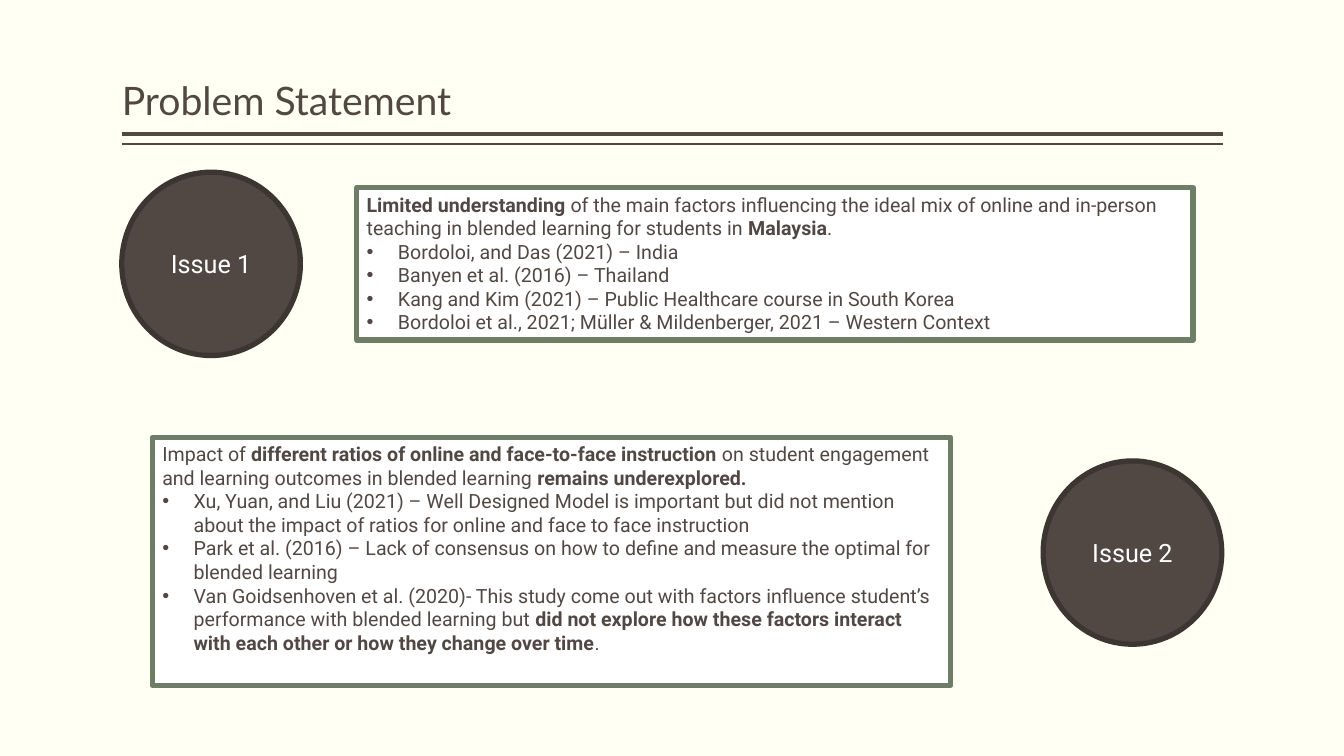
from pptx import Presentation
from pptx.dml.color import RGBColor
from pptx.enum.shapes import MSO_CONNECTOR, MSO_SHAPE
from pptx.enum.text import MSO_ANCHOR, PP_ALIGN
from pptx.oxml.ns import qn
from pptx.util import Cm, Pt
from lxml import etree

STRAIGHT = MSO_CONNECTOR.STRAIGHT
OVAL, RECTANGLE = MSO_SHAPE.OVAL, MSO_SHAPE.RECTANGLE
TOP, MIDDLE, BOTTOM = MSO_ANCHOR.TOP, MSO_ANCHOR.MIDDLE, MSO_ANCHOR.BOTTOM
LEFT, CENTER = PP_ALIGN.LEFT, PP_ALIGN.CENTER

CREAM = RGBColor(0xFF, 0xFF, 0xF3)
WHITE = RGBColor(0xFF, 0xFF, 0xFF)
BROWN = RGBColor(0x51, 0x48, 0x43)
DARK_BROWN = RGBColor(0x3C, 0x35, 0x32)
GREEN = RGBColor(0x6D, 0x7D, 0x66)

HEADING_FONT, BODY_FONT = "Lato", "Roboto"
BADGE_W, BADGE_H = Cm(4.5), Cm(4.62)
BULLET_INDENT = Cm(0.79)

# Each paragraph is a list of (text, bold) runs; the first one is the lead.
ISSUE_1 = [
    [("Limited understanding ", True),
     ("of the main factors influencing the ideal mix of online and in-person "
      "teaching in blended learning for students in ", False),
     ("Malaysia", True), (".", False)],
    [("Bordoloi, and Das (2021) – India", False)],
    [("Banyen et al. (2016) – Thailand", False)],
    [("Kang and Kim (2021) – Public Healthcare course in South Korea", False)],
    [("Bordoloi et al., 2021; Müller & Mildenberger, 2021 – Western Context", False)],
]
ISSUE_2 = [
    [("Impact of ", False),
     ("different ratios of online and face-to-face instruction ", True),
     ("on student engagement and learning outcomes in blended learning ", False),
     ("remains underexplored.", True)],
    [("Xu, Yuan, and Liu (2021) – Well Designed Model is important but did not "
      "mention about the impact of ratios for online and face to face instruction", False)],
    [("Park et al. (2016) – Lack of consensus on how to define and measure the "
      "optimal for blended learning", False)],
    [("Van Goidsenhoven et al. (2020)- This study come out with factors influence "
      "student’s performance with blended learning but ", False),
     ("did not explore how these factors interact with each other or how they "
      "change over time", True), (".", False)],
]


def add_run(p, text, font, size, color, bold=False):
    r = p.add_run()
    r.text = text
    r.font.name, r.font.size, r.font.bold = font, Pt(size), bold
    r.font.color.rgb = color


def add_bullet(p):
    pPr = p._p.get_or_add_pPr()
    pPr.set("marL", str(BULLET_INDENT))
    pPr.set("indent", str(-BULLET_INDENT))
    etree.SubElement(pPr, qn("a:buFont")).set("typeface", "Arial")
    etree.SubElement(pPr, qn("a:buChar")).set("char", "•")


def add_outlined_shape(slide, kind, box, fill, line, anchor):
    sp = slide.shapes.add_shape(kind, *box)
    sp.shadow.inherit = False
    sp.fill.solid()
    sp.fill.fore_color.rgb = fill
    sp.line.color.rgb = line
    sp.line.width = Pt(3.78)
    tf = sp.text_frame
    tf.word_wrap = True
    tf.vertical_anchor = anchor
    return tf


def add_header(slide, left, top, width, height):
    """Title with a thick and a thin rule below it."""
    tf = slide.shapes.add_textbox(left, top, width, height).text_frame
    tf.word_wrap = True
    tf.vertical_anchor = BOTTOM
    tf.margin_left = tf.margin_right = 0
    p = tf.paragraphs[0]
    p.line_spacing = 0.9
    add_run(p, "Problem Statement", HEADING_FONT, 28, BROWN)
    for gap, weight in ((Cm(0.13), 3), (Cm(0.38), 1)):
        y = top + height + gap
        rule = slide.shapes.add_connector(STRAIGHT, left, y, left + width, y)
        rule.line.color.rgb = BROWN
        rule.line.width = Pt(weight)
        etree.SubElement(rule._element.spPr, qn("a:effectLst"))


def add_badge(slide, left, top, label):
    tf = add_outlined_shape(slide, OVAL, (left, top, BADGE_W, BADGE_H),
                            BROWN, DARK_BROWN, MIDDLE)
    p = tf.paragraphs[0]
    p.alignment = CENTER
    add_run(p, label, BODY_FONT, 18, WHITE)


def add_panel(slide, box, paragraphs):
    tf = add_outlined_shape(slide, RECTANGLE, box, WHITE, GREEN, TOP)
    for i, runs in enumerate(paragraphs):
        p = tf.add_paragraph() if i else tf.paragraphs[0]
        p.alignment = LEFT
        if i:
            add_bullet(p)
        for text, bold in runs:
            add_run(p, text, BODY_FONT, 14, BROWN, bold)


def add_issue(slide, box, label, paragraphs, panel_size, badge_right=False, badge_lift=0):
    """Badge and panel at opposite ends of the box, centred on its height."""
    left, top, width, height = box
    panel_w, panel_h = panel_size
    badge_x, panel_x = left, left + width - panel_w
    if badge_right:
        badge_x, panel_x = left + width - BADGE_W, left
    add_badge(slide, badge_x, top + (height - BADGE_H) // 2 - badge_lift, label)
    add_panel(slide, (panel_x, top + (height - panel_h) // 2, panel_w, panel_h), paragraphs)


def main():
    prs = Presentation()
    prs.slide_width, prs.slide_height = Cm(33.87), Cm(19.05)
    s = prs.slides.add_slide(prs.slide_layouts[6])
    s.background.fill.solid()
    s.background.fill.fore_color.rgb = CREAM

    add_header(s, Cm(3.07), Cm(0.2), Cm(27.74), Cm(3.05))
    add_issue(s, (Cm(3.07), Cm(4.34), Cm(27), Cm(4.62)), "Issue 1", ISSUE_1,
              (Cm(21.08), Cm(3.84)))
    add_issue(s, (Cm(3.84), Cm(11.02), Cm(26.95), Cm(6.25)), "Issue 2", ISSUE_2,
              (Cm(20.12), Cm(6.25)), badge_right=True, badge_lift=Cm(0.22))
    prs.save("out.pptx")


if __name__ == "__main__":
    main()
